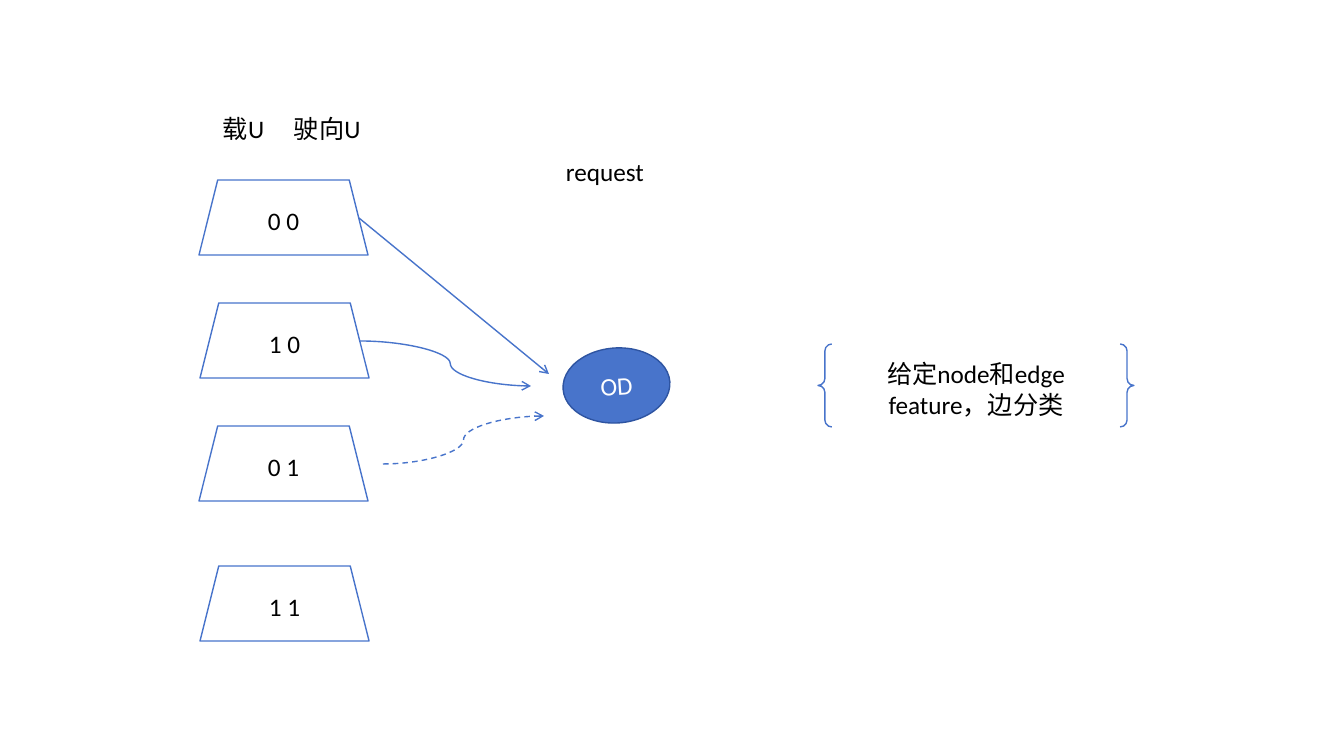
from pptx import Presentation
from pptx.dml.color import RGBColor as Rgb
from pptx.enum.dml import MSO_LINE as Dash
from pptx.enum.shapes import MSO_CONNECTOR as Link, MSO_SHAPE as Kind
from pptx.enum.text import MSO_ANCHOR as Anchor, MSO_AUTO_SIZE as Fit, PP_ALIGN as Align
from pptx.oxml.ns import qn
from pptx.util import Pt
from lxml.etree import SubElement as Sub

# Content, lengths in px
COLORS = {"blue": "4874CB", "navy": "2E54A1", "black": "000000", "white": "FFFFFF"}
FONT, SIZE = "Calibri", 18
SLIDE = (1344, 756)
CAR = (169, 75)
CARS = [("0 0", 199, 180), ("1 0", 200, 303), ("0 1", 199, 426), ("1 1", 200, 566)]
ORDER = ("OD", (563, 348, 107, 75), -4)
TASK = ("给定node和edge feature，边分类", (818, 344, 316, 83))
LABELS = [("载U\t驶向U", (213, 108, 169, 40)), ("request", (556, 151, 116, 40))]
TAB = 71
# kind, from, to, bend (1/100000), dashed
ARROWS = [
    (Link.STRAIGHT, (359, 218), (549, 374), None, False),
    (Link.CURVE, (360, 341), (531, 386), 52800, False),
    (Link.CURVE, (383, 464), (544, 416), 50000, True),
]
SCALE = 914400 / 100.8


def px(*nums):
    return [round(n * SCALE) for n in nums]


def rgb(name):
    return Rgb.from_string(COLORS[name])


def write(shape, text, color="black", align=Align.CENTER):
    frame = shape.text_frame
    frame.word_wrap = True
    frame.text = text
    para = frame.paragraphs[0]
    para.alignment = align
    para.font.name, para.font.size = FONT, Pt(SIZE)
    para.font.color.rgb = rgb(color)
    return frame


def draw(kind, box, text, fill=None, line="blue", color="black"):
    shape = slide.shapes.add_shape(kind, *px(*box))
    shape.shadow.inherit = False
    if fill:
        shape.fill.solid()
        shape.fill.fore_color.rgb = rgb(fill)
    else:
        shape.fill.background()
    shape.line.color.rgb = rgb(line)
    shape.line.width = Pt(1)
    write(shape, text, color).vertical_anchor = Anchor.MIDDLE
    return shape


def link(kind, start, end, bend, dashed):
    arrow = slide.shapes.add_connector(kind, *px(*start, *end))
    arrow.line.color.rgb = rgb("blue")
    arrow.line.width = Pt(1)
    if dashed:
        arrow.line.dash_style = Dash.DASH
    props = arrow._element.spPr
    Sub(props.find(qn("a:ln")), qn("a:tailEnd"), type="arrow")
    Sub(props, qn("a:effectLst"))
    if bend:
        guides = props.find(qn("a:prstGeom")).find(qn("a:avLst"))
        Sub(guides, qn("a:gd"), name="adj1", fmla=f"val {bend}")


deck = Presentation()
deck.slide_width, deck.slide_height = px(*SLIDE)
slide = deck.slides.add_slide(deck.slide_layouts[6])

# Vehicle states
for text, left, top in CARS:
    draw(Kind.TRAPEZOID, (left, top, *CAR), text)

# Order and task
name, box, turn = ORDER
draw(Kind.OVAL, box, name, "blue", "navy", "white").rotation = turn
draw(Kind.DOUBLE_BRACE, TASK[1], TASK[0])

# Arrows
for arrow in ARROWS:
    link(*arrow)

# Headings, with a tab stop for the column gap
for text, box in LABELS:
    label = slide.shapes.add_textbox(*px(*box))
    frame = write(label, text, align=Align.LEFT)
    frame.auto_size = Fit.SHAPE_TO_FIT_TEXT
    if "\t" in text:
        props = frame.paragraphs[0]._p.get_or_add_pPr()
        stops = props.makeelement(qn("a:tabLst"))
        Sub(stops, qn("a:tab"), pos=str(px(TAB)[0]), algn="l")
        props.find(qn("a:defRPr")).addprevious(stops)

deck.save("out.pptx")
